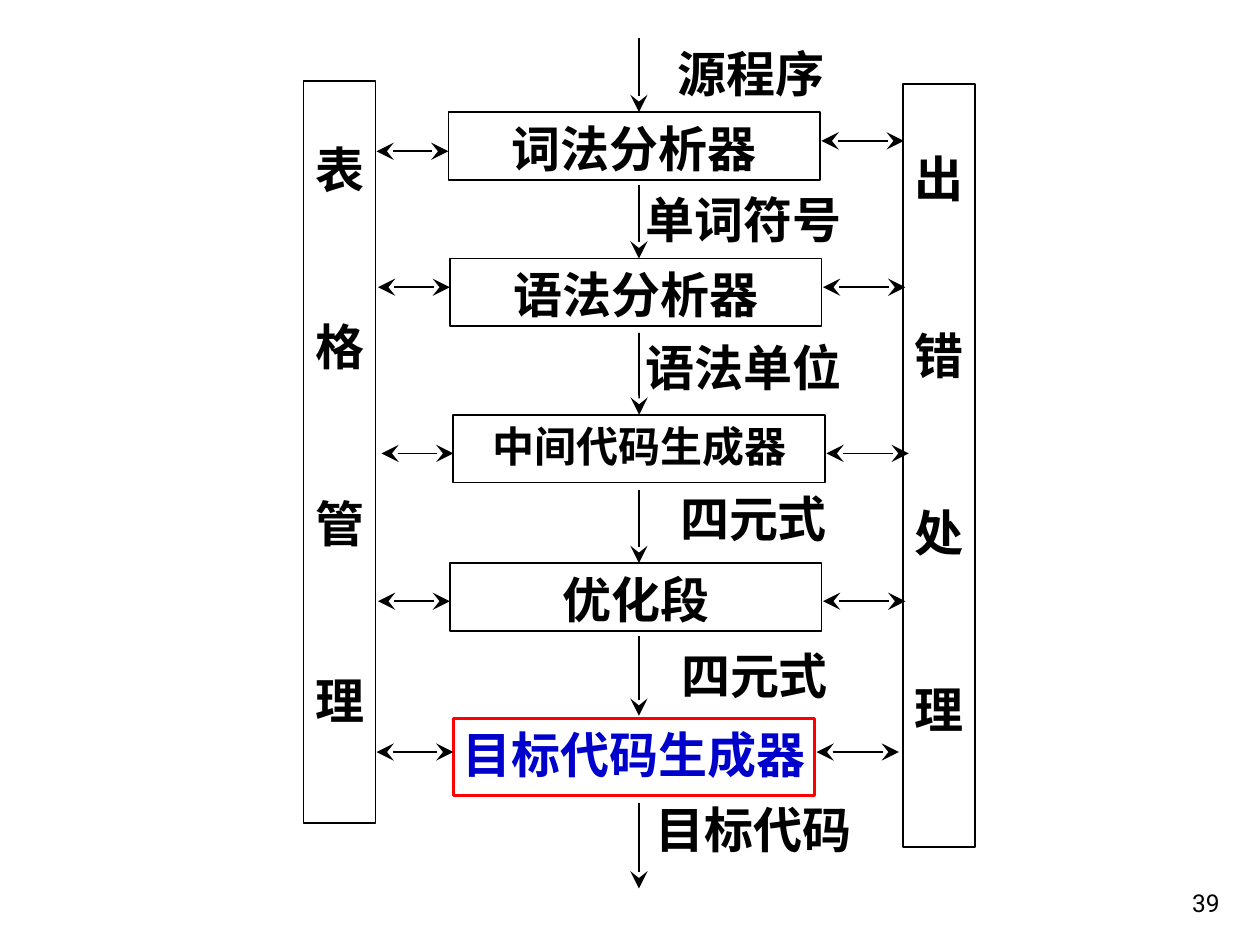
from dataclasses import dataclass

from lxml.etree import SubElement
from pptx import Presentation
from pptx.dml.color import RGBColor
from pptx.enum.shapes import MSO_CONNECTOR, MSO_SHAPE
from pptx.enum.text import MSO_ANCHOR, PP_ALIGN
from pptx.oxml.ns import qn
from pptx.util import Cm, Pt


@dataclass(frozen=True)
class Theme:
    ink: str = "000000"
    blue: str = "0000CC"
    red: str = "FF0000"
    latin: str = "Roboto"
    han: str = "Noto Sans CJK SC"
    big: int = 28
    mid: int = 24
    small: int = 14
    thin: float = 1
    thick: float = 1.75


T = Theme()
WIDE, TALL = 7.49, 1.37
STAGES = [
    dict(text="词法分析器", at=(9.04, 2.26), left=3.05, right=2.84),
    dict(text="语法分析器", at=(9.07, 5.21), left=5.79),
    dict(text="中间代码生成器", at=(9.14, 8.36), left=9.14, size=T.mid, font=T.han),
    dict(text="优化段", at=(9.07, 11.35), left=12.12, font=T.han),
    dict(text="目标代码生成器", at=(9.14, 14.48), left=15.16, reach=1.55, font=T.han,
         size_box=(7.29, 1.55), color=T.blue, edge=T.red, width=T.thick),
]
FLOWS = [
    ("源程序", 15.14, 1.47, 0.76, 2.26),
    ("单词符号", 14.99, 4.42, 3.73, 5.21),
    ("语法单位", 14.99, 7.39, 6.71, 8.36),
    ("四元式", 15.19, 10.44, 9.88, 11.35),
    ("四元式", 15.21, 13.6, 12.83, 14.43),
    ("目标代码", 15.19, 16.71, 16.18, 17.91),
]
BARS = [
    ("表格管理", 6.12, 1.63, 14.96, 1.19),
    ("出错处理", 18.21, 1.7, 15.37, 1.3),
]
PAGE = "39"
AXIS = 12.88
BAR_W, BAR_GAP = 1.45, 67.4
REACH_L, REACH_R, GAP_R = 1.45, 1.66, 0.03
LABEL_W, LABEL_H = 4.2, 1.5


def write(frame, text, size=T.big, font=T.latin, color=T.ink, bold=True,
          align=PP_ALIGN.CENTER, gap=0):
    """Fill a text frame and format every paragraph."""
    frame.text = text
    for para in frame.paragraphs:
        para.alignment = align
        para.space_after = Pt(gap)
        for run in para.runs:
            run.font.size, run.font.bold, run.font.name = Pt(size), bold, font
            run.font.color.rgb = RGBColor.from_string(color)
            SubElement(run.font._element, qn("a:ea"), typeface=T.han)


def add_box(slide, x, y, w, h, edge=T.ink, width=T.thin):
    """Add an outlined rectangle and return it."""
    box = slide.shapes.add_shape(MSO_SHAPE.RECTANGLE, Cm(x), Cm(y), Cm(w), Cm(h))
    box.shadow.inherit = False
    box.fill.background()
    box.line.color.rgb = RGBColor.from_string(edge)
    box.line.width = Pt(width)
    box.text_frame.vertical_anchor = MSO_ANCHOR.TOP
    box.text_frame.word_wrap = True
    box.text_frame.margin_left = box.text_frame.margin_right = Cm(0.05)
    return box


def add_arrow(slide, x1, y1, x2, y2, both=False):
    """Add a line with a stealth head at its end, or at both ends."""
    line = slide.shapes.add_connector(
        MSO_CONNECTOR.STRAIGHT, Cm(x1), Cm(y1), Cm(x2), Cm(y2))
    line.line.color.rgb = RGBColor.from_string(T.ink)
    line.line.width = Pt(T.thin)
    stroke = line.line._get_or_add_ln()
    for tag in ("a:headEnd", "a:tailEnd") if both else ("a:tailEnd",):
        SubElement(stroke, qn(tag), type="stealth", w="lg", len="lg")
    SubElement(line._element.spPr, qn("a:effectLst"))
    return line


def add_label(slide, x, y, w, h, text, anchor, side=0, **style):
    """Add a plain text box with the given side margins."""
    frame = slide.shapes.add_textbox(Cm(x), Cm(y), Cm(w), Cm(h)).text_frame
    frame.word_wrap = True
    frame.vertical_anchor = anchor
    frame.margin_left = frame.margin_right = Cm(side)
    write(frame, text, **style)


def add_stage(slide, stage):
    """Add a stage box with its links to both side bars."""
    x, y = stage["at"]
    w, h = stage.get("size_box", (WIDE, TALL))
    box = add_box(slide, x, y, w, h, stage.get("edge", T.ink), stage.get("width", T.thin))
    write(box.text_frame, stage["text"], stage.get("size", T.big),
          stage.get("font", T.latin), stage.get("color", T.ink))
    left = stage["left"]
    right = stage.get("right", left)
    start = x + w + GAP_R
    add_arrow(slide, x, left, x - stage.get("reach", REACH_L), left, True)
    add_arrow(slide, start, right, start + REACH_R, right, True)
    return box


def main():
    """Build the compiler structure slide."""
    deck = Presentation()
    deck.slide_width, deck.slide_height = Cm(25.4), Cm(19.05)
    slide = deck.slides.add_slide(deck.slide_layouts[6])
    for text, x, y, h, top in BARS:
        frame = add_box(slide, x, y, BAR_W, h).text_frame
        frame.margin_top = Cm(top)
        write(frame, "\n".join(text), gap=BAR_GAP)
    boxes = [add_stage(slide, stage) for stage in STAGES]
    for num, (text, x, y, top, end) in enumerate(FLOWS):
        line = add_arrow(slide, AXIS, top, AXIS, end)
        if num < len(boxes):
            box = boxes[num]
            middle = box.left + box.width // 2
            if abs(middle - Cm(AXIS)) < Cm(0.05):
                line.end_connect(box, 0)
        add_label(slide, x - LABEL_W / 2, y - LABEL_H / 2, LABEL_W, LABEL_H,
                  text, MSO_ANCHOR.MIDDLE)
    add_label(slide, 19.56, 17.35, 5.28, 1.27, PAGE, MSO_ANCHOR.BOTTOM, 0.25,
              size=T.small, bold=False, align=PP_ALIGN.RIGHT)
    deck.save("out.pptx")


if __name__ == "__main__":
    main()
